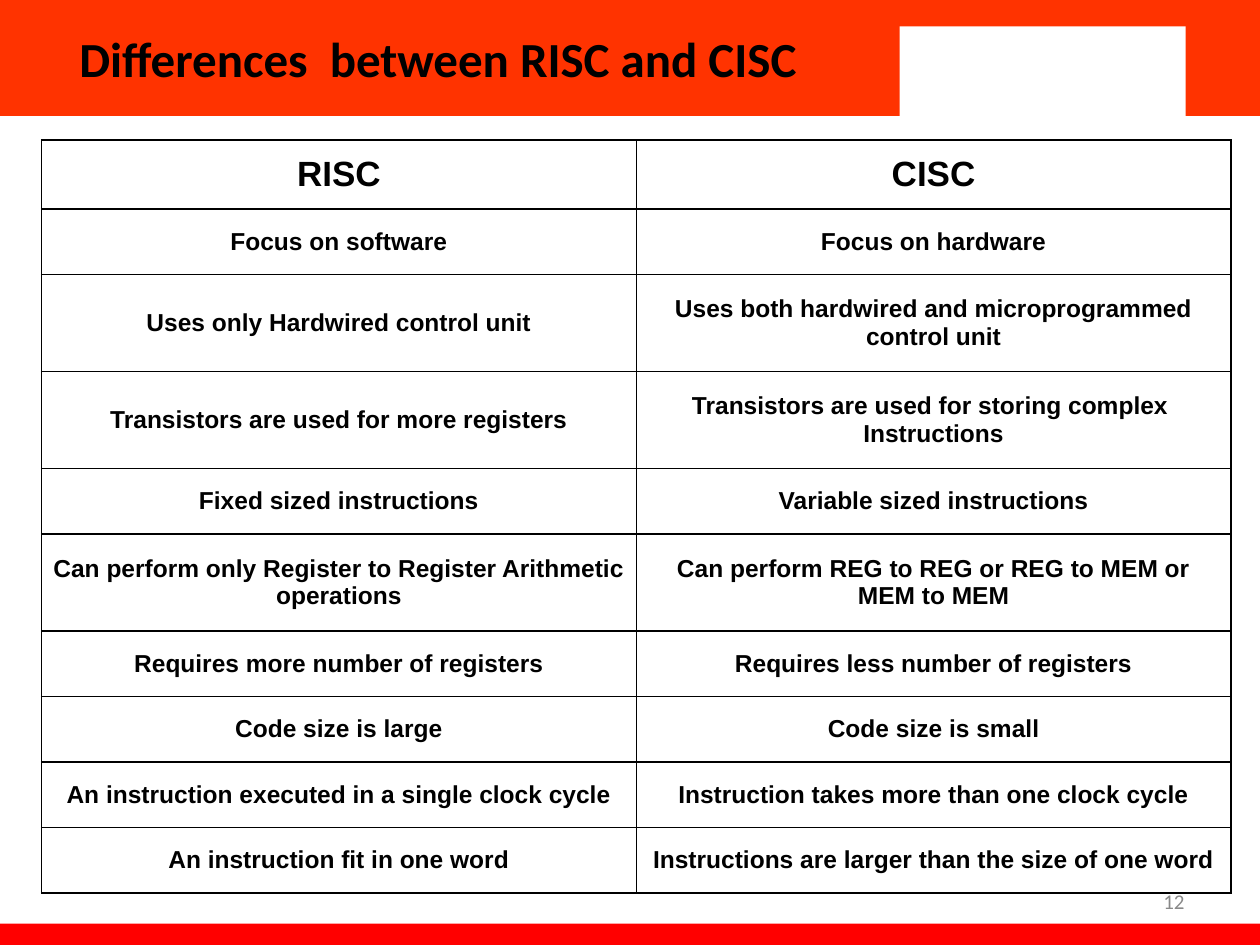
from lxml import etree
from pptx import Presentation
from pptx import util as u
from pptx.dml.color import RGBColor
from pptx.enum import shapes, text
from pptx.oxml import ns

COLORS = {
    "banner": "FF3300",
    "footer": "FF0000",
    "paper": "FFFFFF",
    "ink": "000000",
    "muted": "898989",
}

COMPARISON = [
    ("RISC", "CISC"),
    ("Focus on software", "Focus on hardware"),
    ("Uses only Hardwired control unit",
     "Uses both hardwired and microprogrammed control unit"),
    ("Transistors are used for more registers",
     "Transistors are used for storing complex \vInstructions"),
    ("Fixed sized instructions", "Variable sized instructions"),
    ("Can perform only Register to Register Arithmetic operations",
     "Can perform REG to REG or REG to MEM or MEM to MEM"),
    ("Requires more number of registers", "Requires less number of registers"),
    ("Code size is large", "Code size is small"),
    ("An instruction executed in a single clock cycle",
     "Instruction takes more than one clock cycle"),
    ("An instruction fit in one word",
     "Instructions are larger than the size of one word"),
]
HEADER_HEIGHT, SINGLE_HEIGHT, DOUBLE_HEIGHT = 0.55, 0.52, 0.77
DOUBLE_ROWS = {2, 3, 5}


def apply(target, values):
    for name, value in values.items():
        setattr(target, name, value)


class SlideBuilder:
    def __init__(self, deck):
        self.slide = deck.slides.add_slide(deck.slide_layouts[5])

    def style_text(self, frame, align, font, size, color, bold=False):
        for paragraph in frame.paragraphs:
            paragraph.alignment = align
            for run in paragraph.runs:
                apply(run.font, {"name": font, "size": u.Pt(size), "bold": bold})
                run.font.color.rgb = RGBColor.from_string(COLORS[color])

    def band(self, left, top, width, height, color):
        bar = self.slide.shapes.add_shape(
            shapes.MSO_SHAPE.RECTANGLE, *map(u.Inches, (left, top, width, height)))
        bar.shadow.inherit = False
        bar.fill.solid()
        bar.fill.fore_color.rgb = RGBColor.from_string(COLORS[color])
        bar.line.fill.background()

    def title(self, wording, left, top, width, height):
        heading = self.slide.shapes.title
        apply(heading, {"left": u.Inches(left), "top": u.Inches(top),
                        "width": u.Inches(width), "height": u.Inches(height)})
        heading.text_frame.text = wording
        apply(heading.text_frame, {"vertical_anchor": text.MSO_ANCHOR.MIDDLE,
                                   "auto_size": text.MSO_AUTO_SIZE.NONE,
                                   "word_wrap": True})
        self.style_text(heading.text_frame, text.PP_ALIGN.LEFT,
                        "Calibri", 28, "ink", True)
        heading._element.getparent().append(heading._element)

    def page_number(self, wording, left, top, width, height):
        frame = self.slide.shapes.add_textbox(
            *map(u.Inches, (left, top, width, height))).text_frame
        frame.text = wording
        apply(frame, {"word_wrap": True, "vertical_anchor": text.MSO_ANCHOR.MIDDLE})
        self.style_text(frame, text.PP_ALIGN.RIGHT, "Calibri", 12, "muted")

    def border(self, cell):
        properties = cell._tc.get_or_add_tcPr()
        for position, side in enumerate(("a:lnL", "a:lnR", "a:lnT", "a:lnB")):
            line = etree.Element(ns.qn(side), w=str(u.Pt(1)))
            fill = etree.SubElement(line, ns.qn("a:solidFill"))
            etree.SubElement(fill, ns.qn("a:srgbClr"), val=COLORS["ink"])
            properties.insert(position, line)

    def table(self, rows, left, top, column_width, heights):
        columns = len(rows[0])
        grid = self.slide.shapes.add_table(
            len(rows), columns, u.Inches(left), u.Inches(top),
            u.Inches(column_width * columns), u.Inches(sum(heights))).table
        apply(grid, {"first_row": False, "horz_banding": False})
        for column in grid.columns:
            column.width = u.Inches(column_width)
        for index, (wordings, height) in enumerate(zip(rows, heights)):
            grid.rows[index].height = u.Inches(height)
            padding = u.Inches(0.13 if index else 0.09)
            for column, wording in enumerate(wordings):
                cell = grid.cell(index, column)
                cell.text_frame.text = wording
                apply(cell, {"vertical_anchor": text.MSO_ANCHOR.MIDDLE,
                             "margin_left": u.Inches(0.09),
                             "margin_right": u.Inches(0.09),
                             "margin_top": padding, "margin_bottom": padding})
                cell.fill.background()
                self.border(cell)
                self.style_text(cell.text_frame, text.PP_ALIGN.CENTER,
                                "Arial", 14 if index else 20, "ink", True)


def main():
    deck = Presentation()
    apply(deck, {"slide_width": u.Inches(10), "slide_height": u.Inches(7.5)})
    builder = SlideBuilder(deck)
    builder.band(0, 0, 10, 0.92, "banner")
    builder.band(0, 7.33, 10, 0.22, "footer")
    builder.band(6.72, 0, 3.28, 0.92, "banner")
    builder.band(7.14, 0.21, 2.27, 0.75, "paper")
    builder.title("Differences  between RISC and CISC", 0.53, 0, 6.55, 0.92)
    builder.page_number("12", 7.17, 6.95, 2.33, 0.4)
    heights = [HEADER_HEIGHT] + [
        DOUBLE_HEIGHT if row in DOUBLE_ROWS else SINGLE_HEIGHT
        for row in range(1, len(COMPARISON))]
    builder.table(COMPARISON, 0.33, 1.11, 4.72, heights)
    deck.save("out.pptx")


if __name__ == "__main__":
    main()
